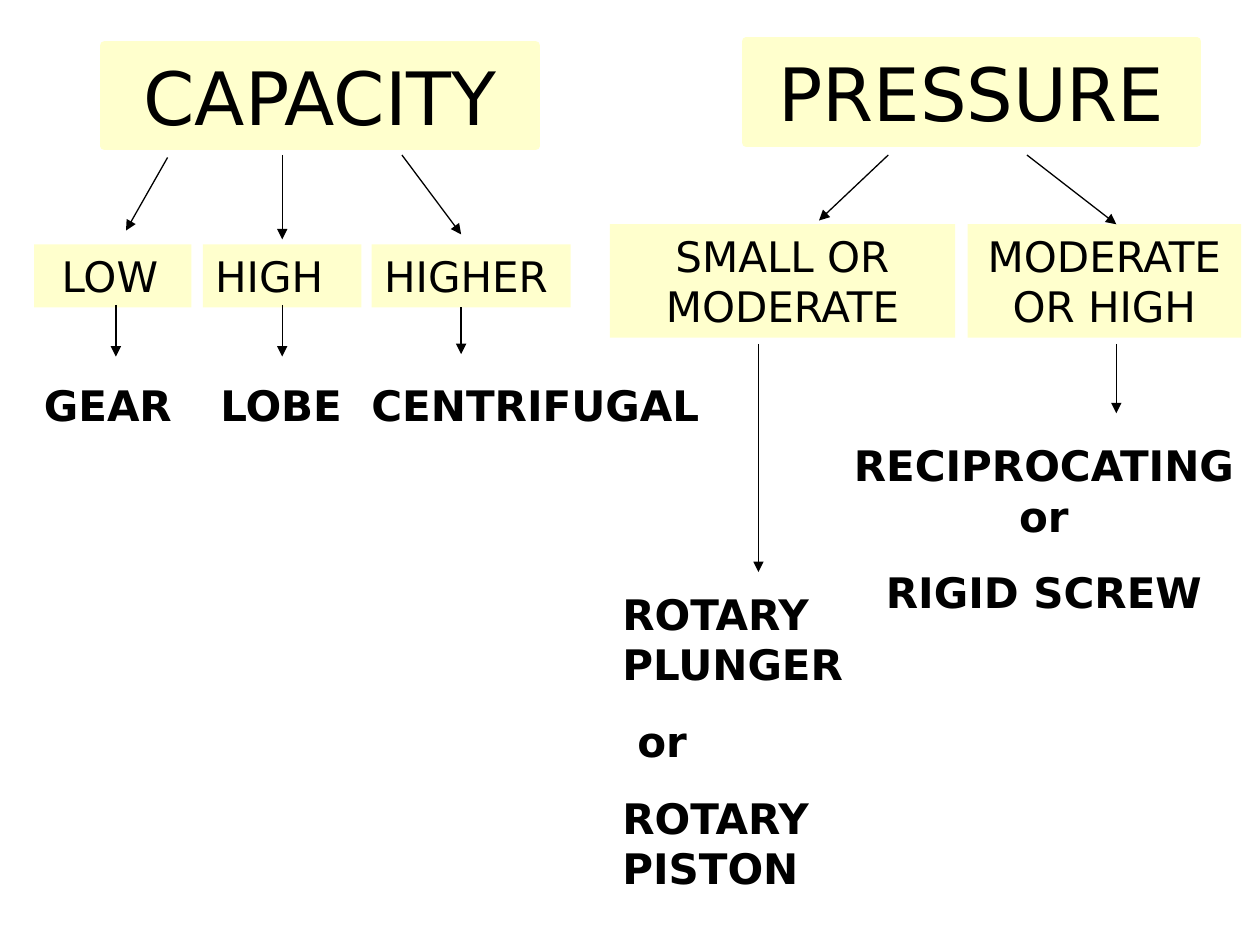
from dataclasses import dataclass
from typing import Optional

from lxml import etree
from pptx import Presentation
from pptx.dml.color import RGBColor
from pptx.enum.shapes import MSO_CONNECTOR, MSO_SHAPE
from pptx.enum.text import MSO_ANCHOR, MSO_AUTO_SIZE, PP_ALIGN
from pptx.oxml.ns import qn
from pptx.util import Inches, Pt

STRAIGHT = MSO_CONNECTOR.STRAIGHT
RECTANGLE = MSO_SHAPE.RECTANGLE
TOP = MSO_ANCHOR.TOP
NO_AUTOFIT = MSO_AUTO_SIZE.NONE
LEFT, CENTER = PP_ALIGN.LEFT, PP_ALIGN.CENTER

SLIDE_WIDTH, SLIDE_HEIGHT = Inches(10), Inches(7.5)
COLUMN, ROW = SLIDE_WIDTH / 100, SLIDE_HEIGHT / 75
TITLE_ONLY_LAYOUT = 5


@dataclass(frozen=True)
class Theme:
    font: str = "DejaVu Sans"
    ink: RGBColor = RGBColor(0, 0, 0)
    panel: RGBColor = RGBColor(0xFF, 0xFF, 0xCD)
    heading_size: float = 42
    label_size: float = 24
    paragraph_gap: float = 15
    arrow_width: float = 0.75
    heading_border: float = 5


@dataclass(frozen=True)
class Block:
    lines: tuple[str, ...]
    column: float
    row: float
    columns: float
    rows: float
    align: PP_ALIGN = LEFT
    indents: tuple[float, ...] = (0,)


@dataclass(frozen=True)
class Arrow:
    start_column: float
    start_row: float
    end_column: float
    end_row: float


THEME = Theme()

CAPACITY = Block(("CAPACITY",), 8.3, 3.6, 34.2, 8, CENTER)
PRESSURE = Block(("PRESSURE",), 59.2, 3.3, 35.8, 8, CENTER)

LEVEL_ROW, LEVEL_ROWS = 19.4, 5
RANGE_ROW, RANGE_ROWS = 17.8, 9
PUMP_ROW = 29.6
LEVELS = (
    Block(("LOW",), 2.7, LEVEL_ROW, 12.5, LEVEL_ROWS, indents=(1.2,)),
    Block(("HIGH",), 16.1, LEVEL_ROW, 12.6, LEVEL_ROWS),
    Block(("HIGHER",), 29.5, LEVEL_ROW, 15.8, LEVEL_ROWS),
    Block(("SMALL OR MODERATE",), 48.4, RANGE_ROW, 27.4, RANGE_ROWS, CENTER),
    Block(("MODERATE\vOR HIGH",), 76.8, RANGE_ROW, 21.7, RANGE_ROWS, CENTER),
)
PUMPS = (
    Block(("GEAR",), 2.5, PUMP_ROW, 13, 5),
    Block(("LOBE",), 16.5, PUMP_ROW, 12, 5),
    Block(("CENTRIFUGAL",), 28.5, PUMP_ROW, 30, 5),
    Block(("ROTARY PLUNGER", "or", "ROTARY PISTON"),
          48.4, 46.2, 24.2, 25.2, indents=(0, 1.2, 0)),
    Block(("RECIPROCATING or", "RIGID SCREW"), 65.7, 34.4, 34.3, 15.1, CENTER),
)
ARROWS = (
    Arrow(13.3, 12.5, 10, 18.3),
    Arrow(22.4, 12.3, 22.4, 19),
    Arrow(31.9, 12.3, 36.6, 18.6),
    Arrow(9.2, 24.2, 9.2, 28.3),
    Arrow(22.4, 24.2, 22.4, 28.3),
    Arrow(36.6, 24.4, 36.6, 28.1),
    Arrow(70.5, 12.3, 65, 17.5),
    Arrow(81.5, 12.3, 88.6, 17.8),
    Arrow(60.2, 27.3, 60.2, 45.4),
    Arrow(88.6, 27.3, 88.6, 32.8),
)


def place(block: Block) -> tuple[int, int, int, int]:
    return (round(block.column * COLUMN), round(block.row * ROW),
            round(block.columns * COLUMN), round(block.rows * ROW))


def write_text(shape, block: Block, *, size: float, bold: bool = False) -> None:
    frame = shape.text_frame
    frame.word_wrap = True
    frame.auto_size = NO_AUTOFIT
    frame.vertical_anchor = TOP
    frame.text = "\n".join(block.lines)
    indents = block.indents * (len(block.lines) // len(block.indents))
    for paragraph, indent in zip(frame.paragraphs, indents):
        paragraph.alignment = block.align
        paragraph.space_before = Pt(THEME.paragraph_gap)
        if indent:
            paragraph._p.get_or_add_pPr().set("marL", str(round(indent * COLUMN)))
        for run in paragraph.runs:
            run.font.name = THEME.font
            run.font.size = Pt(size)
            run.font.bold = bold
            run.font.color.rgb = THEME.ink


def fill_panel(shape, border: Optional[float] = None) -> None:
    shape.fill.solid()
    shape.fill.fore_color.rgb = THEME.panel
    if border is None:
        shape.line.fill.background()
    else:
        shape.line.color.rgb = THEME.panel
        shape.line.width = Pt(border)


def add_panel(slide, block: Block, *, size: float, border: Optional[float] = None) -> None:
    shape = slide.shapes.add_shape(RECTANGLE, *place(block))
    shape.shadow.inherit = False
    fill_panel(shape, border)
    write_text(shape, block, size=size)


def add_title(slide, block: Block) -> None:
    title = slide.shapes.title
    title.left, title.top, title.width, title.height = place(block)
    fill_panel(title, THEME.heading_border)
    write_text(title, block, size=THEME.heading_size)


def add_pump(slide, block: Block) -> None:
    text_box = slide.shapes.add_textbox(*place(block))
    write_text(text_box, block, size=THEME.label_size, bold=True)


def add_arrow(slide, arrow: Arrow) -> None:
    connector = slide.shapes.add_connector(
        STRAIGHT,
        round(arrow.start_column * COLUMN), round(arrow.start_row * ROW),
        round(arrow.end_column * COLUMN), round(arrow.end_row * ROW))
    connector.line.color.rgb = THEME.ink
    connector.line.width = Pt(THEME.arrow_width)
    etree.SubElement(connector.line._get_or_add_ln(), qn("a:tailEnd"), type="triangle")
    etree.SubElement(connector._element.spPr, qn("a:effectLst"))


def main() -> None:
    presentation = Presentation()
    presentation.slide_width = SLIDE_WIDTH
    presentation.slide_height = SLIDE_HEIGHT
    slide = presentation.slides.add_slide(presentation.slide_layouts[TITLE_ONLY_LAYOUT])
    add_title(slide, CAPACITY)
    add_panel(slide, PRESSURE, size=THEME.heading_size, border=THEME.heading_border)
    for level in LEVELS:
        add_panel(slide, level, size=THEME.label_size)
    for pump in PUMPS:
        add_pump(slide, pump)
    for arrow in ARROWS:
        add_arrow(slide, arrow)
    presentation.save("out.pptx")


if __name__ == "__main__":
    main()
